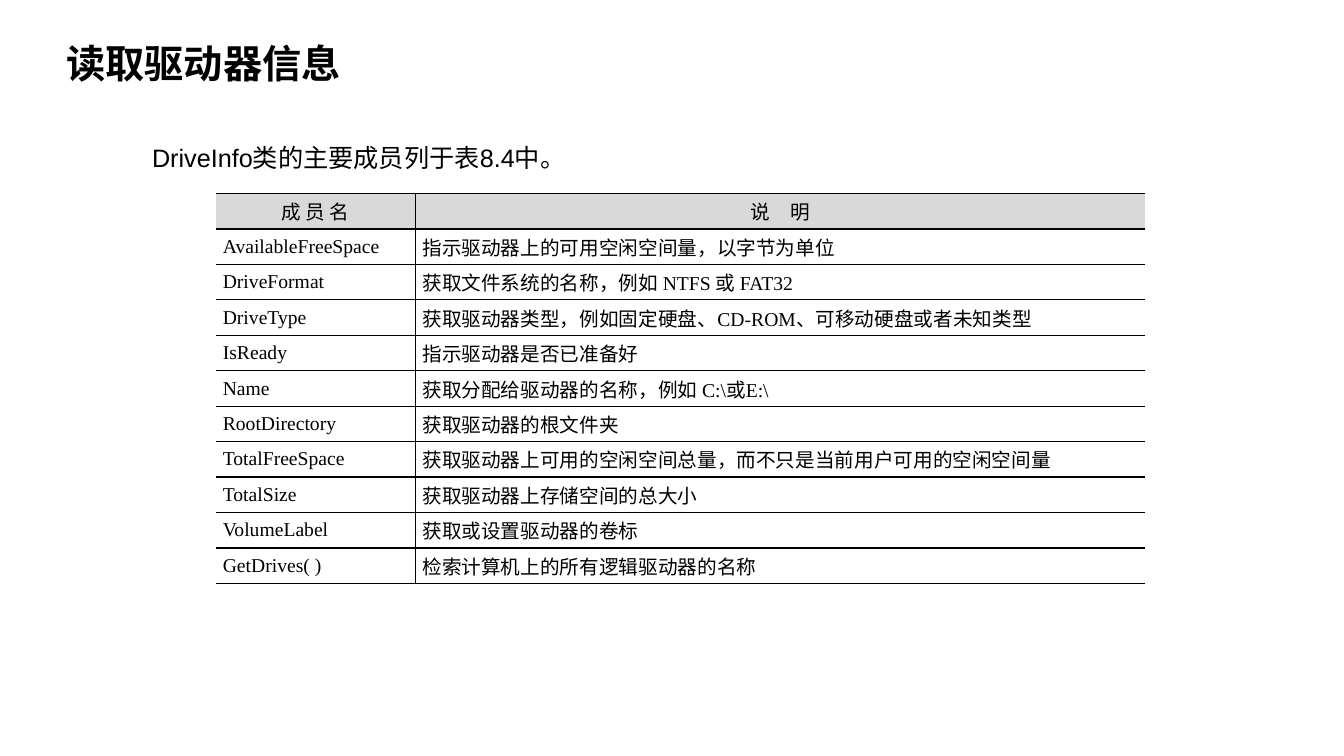
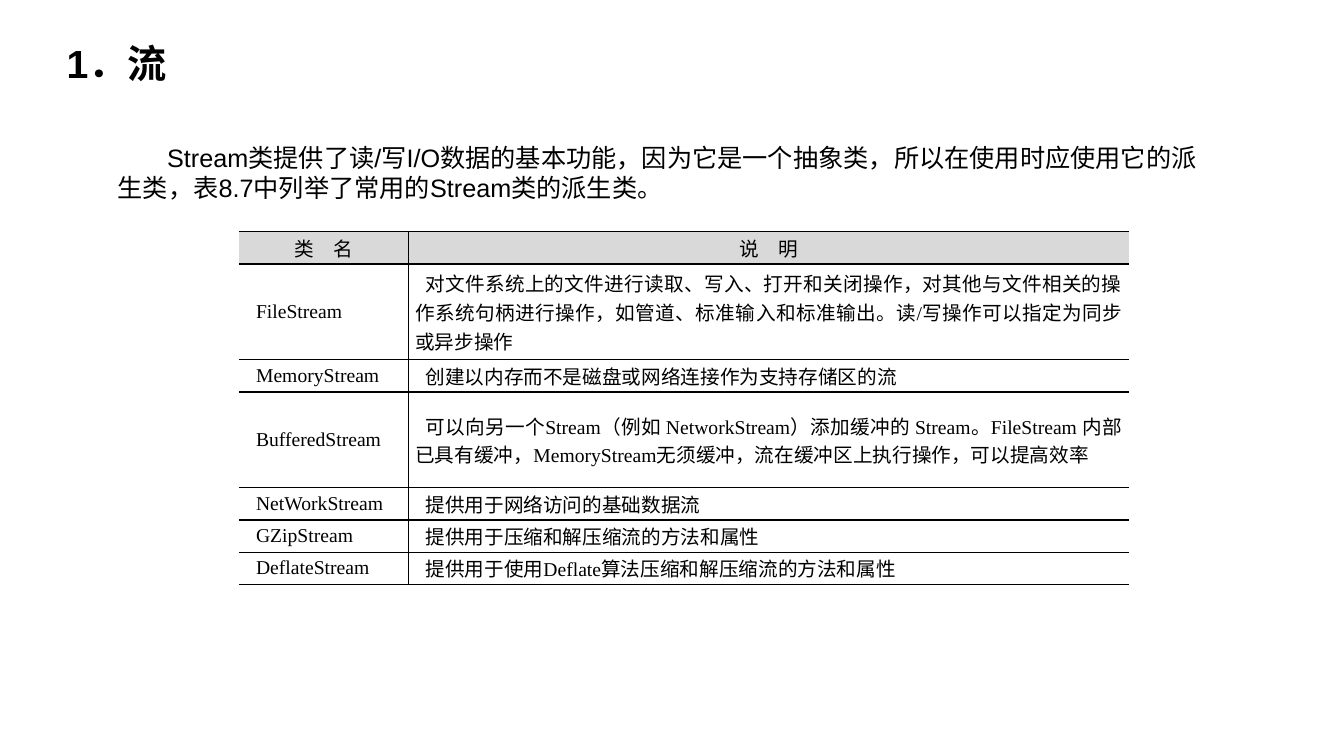
from lxml.etree import SubElement
from pptx import Presentation
from pptx.dml.color import RGBColor
from pptx.enum.text import MSO_ANCHOR, MSO_AUTO_SIZE, PP_ALIGN
from pptx.oxml.ns import qn
from pptx.util import Inches, Pt

COLORS = {"ink": "000000", "header": "D9D9D9"}
BODY_FONT, TABLE_FONT = "Arial", "Times New Roman"
TITLE_ONLY = 5

DRIVE_MEMBERS = [
    ("成 员 名", "说　明"),
    ("AvailableFreeSpace", "指示驱动器上的可用空闲空间量，以字节为单位"),
    ("DriveFormat", "获取文件系统的名称，例如 NTFS 或 FAT32"),
    ("DriveType", "获取驱动器类型，例如固定硬盘、CD-ROM、可移动硬盘或者未知类型"),
    ("IsReady", "指示驱动器是否已准备好"),
    ("Name", "获取分配给驱动器的名称，例如 C:\\或E:\\"),
    ("RootDirectory", "获取驱动器的根文件夹"),
    ("TotalFreeSpace", "获取驱动器上可用的空闲空间总量，而不只是当前用户可用的空闲空间量"),
    ("TotalSize", "获取驱动器上存储空间的总大小"),
    ("VolumeLabel", "获取或设置驱动器的卷标"),
    ("GetDrives( )", "检索计算机上的所有逻辑驱动器的名称"),
]

STREAM_CLASSES = [
    ("类　名", "说　明"),
    ("FileStream", "对文件系统上的文件进行读取、写入、打开和关闭操作，对其他与文件相关的"
     "操作系统句柄进行操作，如管道、标准输入和标准输出。读/写操作可以指定为同步或异步操作"),
    ("MemoryStream", "创建以内存而不是磁盘或网络连接作为支持存储区的流"),
    ("BufferedStream", "可以向另一个Stream（例如 NetworkStream）添加缓冲的 Stream。FileStream "
     "内部已具有缓冲，MemoryStream无须缓冲，流在缓冲区上执行操作，可以提高效率"),
    ("NetWorkStream", "提供用于网络访问的基础数据流"),
    ("GZipStream", "提供用于压缩和解压缩流的方法和属性"),
    ("DeflateStream", "提供用于使用Deflate算法压缩和解压缩流的方法和属性"),
]


class SlideBuilder:
    """Holds the deck, its style and the current page."""

    def __init__(self):
        self.deck = Presentation()
        self.deck.slide_width = Inches(13.33)
        self.deck.slide_height = Inches(7.5)
        self.page = None

    def add_text(self, para, text, font, size, bold=False, indent=0):
        if indent:
            properties = para._p.get_or_add_pPr()
            properties.set("marL", "0")
            properties.set("indent", str(Inches(indent)))
        span = para.add_run()
        span.text = text
        span.font.name = font
        span.font.size = Pt(size)
        span.font.bold = bold
        span.font.color.rgb = RGBColor.from_string(COLORS["ink"])

    def start_page(self, text):
        self.page = self.deck.slides.add_slide(self.deck.slide_layouts[TITLE_ONLY])
        title = self.page.shapes.title
        title.left, title.top = Inches(0.56), Inches(0.39)
        title.width, title.height = Inches(7), Inches(0.52)
        frame = title.text_frame
        frame.auto_size = MSO_AUTO_SIZE.NONE
        frame.vertical_anchor = MSO_ANCHOR.MIDDLE
        para = frame.paragraphs[0]
        para.alignment = PP_ALIGN.LEFT
        para.line_spacing = 0.9
        self.add_text(para, text, BODY_FONT, 28, bold=True)

    def intro(self, text, left, width, height, wrap=True, indent=0):
        box = self.page.shapes.add_textbox(
            Inches(left), Inches(1.36), Inches(width), Inches(height))
        box.text_frame.word_wrap = wrap
        self.add_text(box.text_frame.paragraphs[0], text, BODY_FONT, 18, indent=indent)

    def border(self, cell, visible_sides):
        properties = cell._tc.get_or_add_tcPr()
        for side in "LRTB":
            line = SubElement(properties, qn(f"a:ln{side}"), w=str(Pt(1)))
            if side in visible_sides:
                fill = SubElement(line, qn("a:solidFill"))
                SubElement(fill, qn("a:srgbClr"), val=COLORS["ink"])
            else:
                SubElement(line, qn("a:noFill"))

    def table(self, rows, left, top, column_widths, row_heights, indent=0):
        table = self.page.shapes.add_table(
            len(rows), len(column_widths), Inches(left), Inches(top),
            Inches(sum(column_widths)), Inches(sum(row_heights))).table
        table.first_row = table.horz_banding = False
        for column, width in zip(table.columns, column_widths):
            column.width = Inches(width)
        for row_index, (texts, height) in enumerate(zip(rows, row_heights)):
            table.rows[row_index].height = Inches(height)
            is_header = row_index == 0
            for column_index, text in enumerate(texts):
                cell = table.cell(row_index, column_index)
                cell.margin_left = cell.margin_right = Inches(0.07)
                cell.margin_top = cell.margin_bottom = 0
                cell.vertical_anchor = MSO_ANCHOR.MIDDLE
                # Only the divider between the columns is vertical
                self.border(cell, "LTB" if column_index else "RTB")
                if is_header:
                    cell.fill.solid()
                    cell.fill.fore_color.rgb = RGBColor.from_string(COLORS["header"])
                else:
                    cell.fill.background()
                para = cell.text_frame.paragraphs[0]
                para.alignment = PP_ALIGN.CENTER if is_header else PP_ALIGN.JUSTIFY
                self.add_text(para, text, TABLE_FONT, 14, indent=0 if is_header else indent)


def main():
    builder = SlideBuilder()

    # Drive information
    builder.start_page("读取驱动器信息")
    builder.intro("DriveInfo类的主要成员列于表8.4中。", 1.41, 4.34, 0.4, wrap=False)
    row_height = 3.87 / len(DRIVE_MEMBERS)
    builder.table(DRIVE_MEMBERS, 2.14, 1.92, [1.98, 7.24],
                  [row_height] * len(DRIVE_MEMBERS))

    # Streams
    builder.start_page("1．流")
    builder.intro("Stream类提供了读/写I/O数据的基本功能，因为它是一个抽象类，所以在使用时应使用它的"
                  "派生类，表8.7中列举了常用的Stream类的派生类。", 1.07, 11.03, 0.71, indent=0.49)
    single, triple = 0.32, 0.95
    builder.table(STREAM_CLASSES, 2.37, 2.3, [1.68, 7.15],
                  [single, triple, single, triple, single, single, single], indent=0.1)

    builder.deck.save("out.pptx")


if __name__ == "__main__":
    main()
